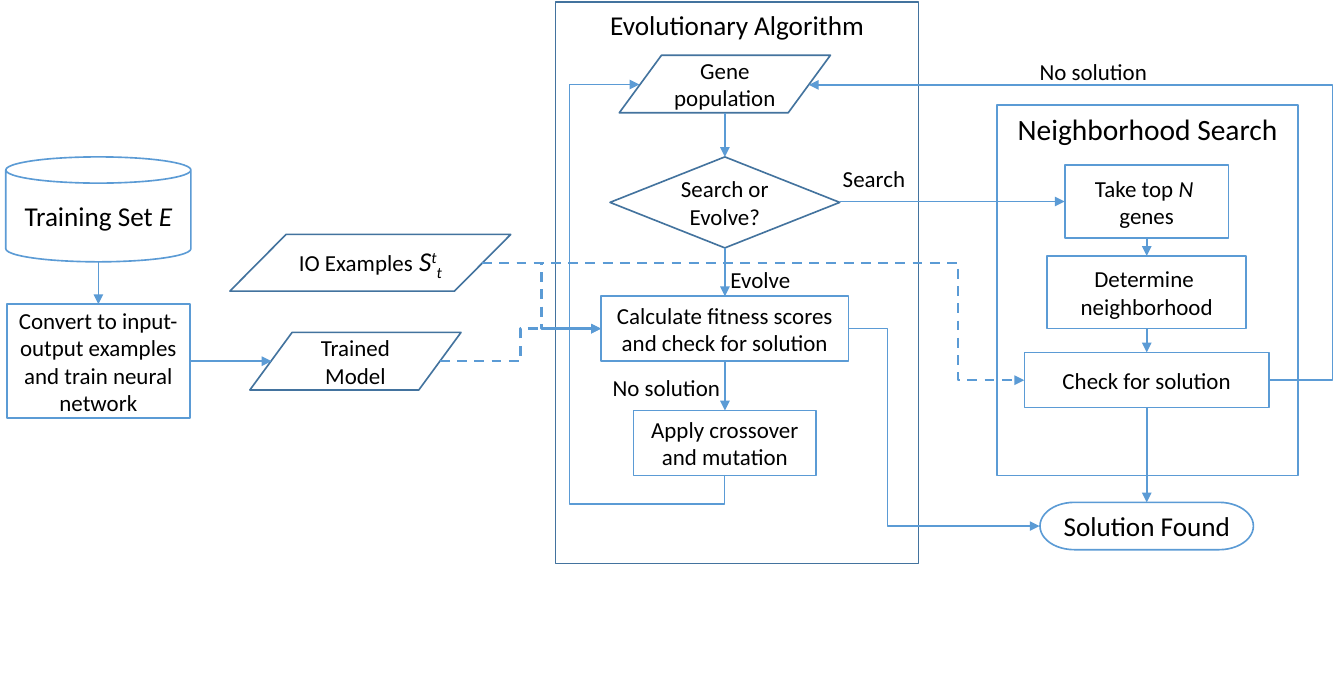
from lxml.etree import SubElement
from pptx import Presentation
from pptx.dml.color import RGBColor
from pptx.enum.dml import MSO_LINE
from pptx.enum.shapes import MSO_CONNECTOR as CONN, MSO_SHAPE as SHAPE
from pptx.enum.text import MSO_ANCHOR as ANCHOR, PP_ALIGN as ALIGN
from pptx.oxml.ns import qn
from pptx.util import Cm, Pt

BLUE, DARK_BLUE, WHITE, BLACK = "5B9BD5", "43739E", "FFFFFF", "000000"
TRAIN_X, EVOLVE_X, SEARCH_X = 2.12, 15.62, 24.71
PROCESS = SHAPE.FLOWCHART_PROCESS
DATA = SHAPE.FLOWCHART_DATA
ITALIC = {"italic": True}


def color(hex_code):
    return RGBColor.from_string(hex_code)


def apply(obj, values):
    for name, value in values.items():
        setattr(obj, name, value)


def write(tf, lines, size, align):
    for i, line in enumerate(lines):
        p = tf.paragraphs[0] if i == 0 else tf.add_paragraph()
        p.alignment = align
        for text, fmt, *rpr in line:
            r = p.add_run()
            r.text = text
            apply(r.font, {"name": "Calibri", "size": Pt(size), **fmt})
            r.font.color.rgb = color(BLACK)
            for key, value in (rpr[0] if rpr else {}).items():
                r.font._element.set(key, value)


def box(s, kind, cx, top, w, h, lines, size=14, line=BLUE, fill=None,
        anchor=ANCHOR.MIDDLE):
    sp = s.shapes.add_shape(kind, Cm(cx - w / 2), Cm(top), Cm(w), Cm(h))
    sp.shadow.inherit = False
    if fill:
        sp.fill.solid()
        sp.fill.fore_color.rgb = color(fill)
    else:
        sp.fill.background()
    sp.line.color.rgb = color(line)
    sp.line.width = Pt(1)
    tf = sp.text_frame
    apply(tf, {"word_wrap": True, "vertical_anchor": anchor,
               "margin_left": Cm(0.2), "margin_right": Cm(0.2)})
    if isinstance(lines, str):
        lines = [[(lines, {})]]
    write(tf, lines, size, ALIGN.CENTER)
    return sp


def label(s, text, left, top, w):
    sp = s.shapes.add_textbox(Cm(left), Cm(top), Cm(w), Cm(0.86))
    sp.text_frame.word_wrap = False
    write(sp.text_frame, [[(text, {})]], 14, ALIGN.LEFT)


def arrow(s, kind, x1, y1, x2, y2, dashed=False):
    cxn = s.shapes.add_connector(kind, Cm(x1), Cm(y1), Cm(x2), Cm(y2))
    cxn.line.color.rgb = color(BLUE)
    cxn.line.width = Pt(1.5 if dashed else 1)
    if dashed:
        cxn.line.dash_style = MSO_LINE.DASH
    spPr = cxn._element.spPr
    SubElement(spPr.find(qn("a:ln")), qn("a:tailEnd"), type="triangle")
    SubElement(spPr, qn("a:effectLst"))
    return cxn


def straight(s, x1, y1, x2, y2):
    arrow(s, CONN.STRAIGHT, x1, y1, x2, y2)


def elbow(s, x1, y1, x2, y2, bends=(50,), dashed=False, turn=0):
    spPr = arrow(s, CONN.ELBOW, x1, y1, x2, y2, dashed)._element.spPr
    geom = spPr.find(qn("a:prstGeom"))
    geom.set("prst", f"bentConnector{len(bends) + 2}")
    for i, bend in enumerate(bends, 1):
        SubElement(geom.find(qn("a:avLst")), qn("a:gd"), name=f"adj{i}",
                   fmla=f"val {round(bend * 1000)}")
    if turn:
        spPr.find(qn("a:xfrm")).set("rot", str(turn * 60000))


def chain(s, x, boxes):
    for a, b in zip(boxes, boxes[1:]):
        straight(s, x, (a.top + a.height) / Cm(1), x, b.top / Cm(1))


def training(s):
    training_set = box(s, SHAPE.CAN, TRAIN_X, 3.38, 3.99, 2.26,
                       [[("Training Set ", {}), ("E", ITALIC)]], 16.6, fill=WHITE)
    convert = box(s, PROCESS, TRAIN_X, 6.55, 3.94, 2.46,
                  "Convert to input-output examples and train neural network",
                  fill=WHITE)
    chain(s, TRAIN_X, [training_set, convert])
    box(s, DATA, 7.66, 7.16, 4.55, 1.24, "Trained Model", line=DARK_BLUE)
    big = {"size": Pt(16.6)}
    symbol = {**big, **ITALIC}
    box(s, DATA, 7.98, 5.05, 6.05, 1.22,
        [[("IO Examples", {}), (" ", big), ("S", symbol),
          ("t", symbol, {"baseline": "30000", "spc": "-300"}),
          ("t", symbol, {"baseline": "-25000"})]], line=DARK_BLUE)
    straight(s, 4.11, 7.78, 5.85, 7.78)


def evolution(s):
    steps = [
        box(s, DATA, EVOLVE_X, 1.19, 4.55, 1.24, "Gene population", line=DARK_BLUE),
        box(s, SHAPE.FLOWCHART_DECISION, EVOLVE_X, 3.38, 4.95, 1.96,
            "Search or Evolve?", line=DARK_BLUE),
        box(s, PROCESS, EVOLVE_X, 6.38, 5.33, 1.4,
            "Calculate fitness scores and check for solution", fill=WHITE),
        box(s, PROCESS, EVOLVE_X, 8.84, 3.94, 1.4,
            "Apply crossover and mutation", fill=WHITE),
    ]
    chain(s, EVOLVE_X, steps)
    elbow(s, 18.9, 5.11, 10.49, 6.94, (-7.5, 182.5), turn=90)
    box(s, PROCESS, 15.88, 0.05, 7.82, 12.09, "Evolutionary Algorithm", 16.6,
        DARK_BLUE, anchor=ANCHOR.TOP)


def neighborhood(s):
    box(s, PROCESS, 24.73, 2.26, 6.48, 7.98, "Neighborhood Search", 18,
        anchor=ANCHOR.TOP)
    steps = [
        box(s, PROCESS, SEARCH_X, 3.56, 3.53, 1.57,
            [[("Take top ", {}), ("N ", ITALIC)], [("genes", {})]]),
        box(s, PROCESS, SEARCH_X, 5.51, 4.29, 1.57,
            [[("Determine ", {})], [("neighborhood", {})]]),
        box(s, PROCESS, SEARCH_X, 7.59, 5.26, 1.19, "Check for solution"),
        box(s, SHAPE.FLOWCHART_TERMINATOR, SEARCH_X, 10.82, 4.6, 1.02,
            "Solution Found", 16.6, fill=WHITE),
    ]
    chain(s, SEARCH_X, steps)


def links(s):
    straight(s, 18.09, 4.34, 22.94, 4.34)
    elbow(s, 9.48, 7.78, 12.95, 7.08, dashed=True)
    elbow(s, 10.39, 5.66, 12.95, 7.08, dashed=True)
    elbow(s, 10.39, 5.66, 22.07, 8.19, (87.8,), dashed=True)
    elbow(s, 27.33, 8.19, 17.43, 1.83, (-14,))
    elbow(s, 18.29, 7.08, 22.4, 11.33, (20.3,))
    label(s, "Evolve", 15.49, 5.59, 1.83)
    label(s, "Search", 17.91, 3.43, 1.88)
    label(s, "No solution", 22.15, 1.12, 2.9)
    label(s, "No solution", 12.95, 7.92, 2.9)


def main():
    prs = Presentation()
    apply(prs, {"slide_width": Cm(28.96), "slide_height": Cm(14.99)})
    s = prs.slides.add_slide(prs.slide_layouts[6])
    for part in (training, evolution, neighborhood, links):
        part(s)
    prs.save("out.pptx")


if __name__ == "__main__":
    main()
